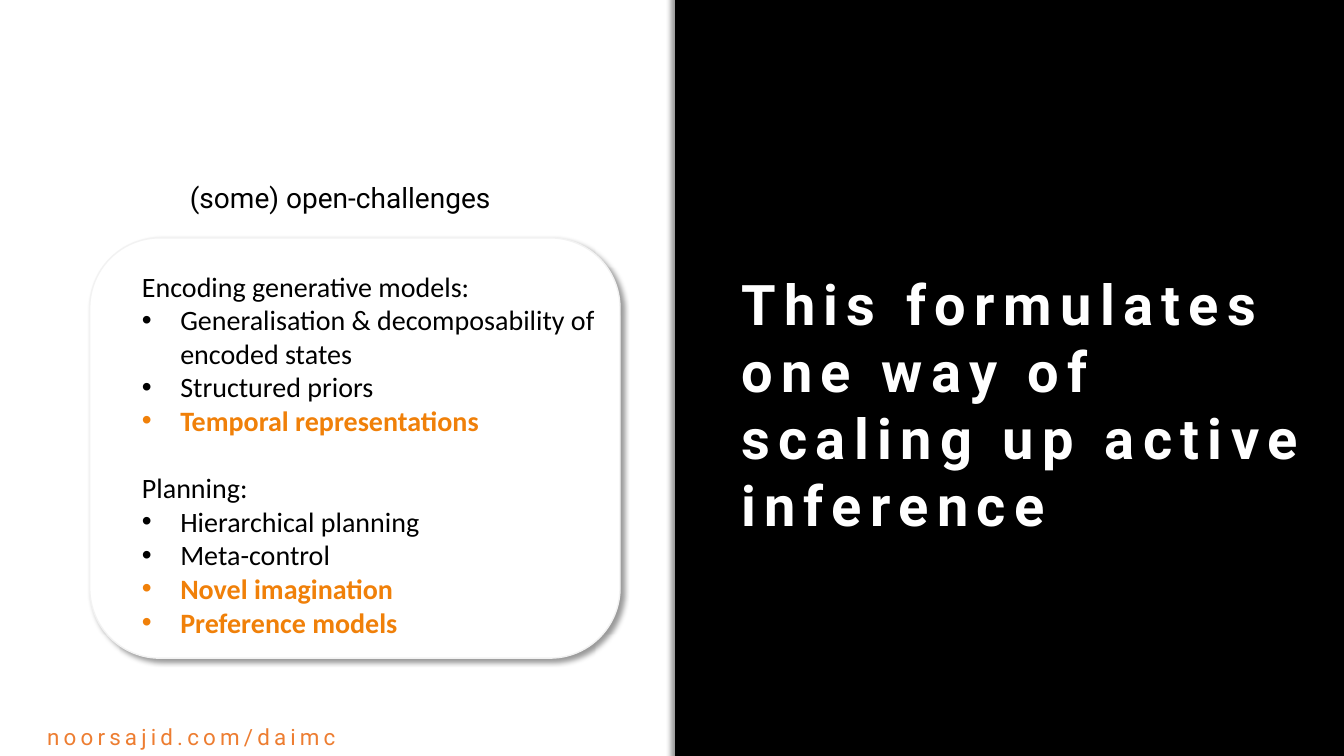
from pptx import Presentation
from pptx.dml.color import RGBColor
from pptx.enum.shapes import MSO_SHAPE as Shape
from pptx.enum.text import MSO_ANCHOR as Anchor, MSO_AUTO_SIZE as AutoSize, PP_ALIGN as Align
from pptx.oxml.ns import qn
from pptx.util import Inches, Pt
from lxml import etree

COLORS = {"black": "000000", "white": "FFFFFF", "border": "F2F2F2",
          "link": "ED7D31", "highlight": "F08009"}
INDENT = Inches(0.38)


def write(frame, text, first=False, size=20, font="Roboto", color="black", bold=False,
          spacing=0, align=Align.LEFT, bullet=False, before=0):
    """Put text in a new paragraph, or in the frame's first one; spacing is in points."""
    para = frame.paragraphs[0] if first else frame.add_paragraph()
    para.alignment = align
    para.space_before = Pt(before)
    if bullet:
        properties = para._p.get_or_add_pPr()
        properties.set("marL", str(INDENT))
        properties.set("indent", str(-INDENT))
        etree.SubElement(properties, qn("a:buFont")).set("typeface", "Arial")
        etree.SubElement(properties, qn("a:buChar")).set("char", "•")
    span = para.add_run()
    span.text = text
    span.font.size = Pt(size)
    span.font.name = font
    span.font.bold = bold
    span.font.color.rgb = RGBColor.from_string(COLORS[color])
    if spacing:
        span._r.get_or_add_rPr().set("spc", str(spacing * 100))


def add_panel(kind, left, top, width, height, fill, line, angle):
    """Add a filled shape whose soft shadow falls at the given angle in degrees."""
    panel = page.shapes.add_shape(kind, Inches(left), Inches(top), Inches(width), Inches(height))
    panel.fill.solid()
    panel.fill.fore_color.rgb = RGBColor.from_string(COLORS[fill])
    panel.line.color.rgb = RGBColor.from_string(COLORS[line])
    panel.line.width = Pt(1)
    panel.shadow.inherit = False
    effects = panel._element.spPr.find(qn("a:effectLst"))
    shadow = etree.SubElement(effects, qn("a:outerShdw"), blurRad=str(Pt(4)), dist=str(Pt(3)),
                              dir=str(angle * 60000), rotWithShape="0")
    shade = etree.SubElement(shadow, qn("a:srgbClr"), val=COLORS["black"])
    etree.SubElement(shade, qn("a:alpha"), val="40000")
    return panel


deck = Presentation()
deck.slide_width, deck.slide_height = Inches(13.33), Inches(7.5)
page = deck.slides.add_slide(deck.slide_layouts[5])

# Black half with the statement as the title
black_half = add_panel(Shape.RECTANGLE, 6.7, -0.08, 6.67, 7.66, "black", "black", 180)
title = page.shapes.title
title._element.addprevious(black_half._element)
title.left, title.top, title.width, title.height = map(Inches, (7.25, 2.62, 5.98, 2.79))
title.text_frame.word_wrap = True
title.text_frame.auto_size = AutoSize.NONE
title.text_frame.vertical_anchor = Anchor.TOP
write(title.text_frame, "This formulates one way of scaling up active inference",
      first=True, size=40, color="white", bold=True, spacing=6)

# Card and text on the white half
add_panel(Shape.ROUNDED_RECTANGLE, 0.89, 2.36, 5.26, 4.17, "white", "border", 45)

frames = {}
for name, place in {"link": (0.37, 7.13, 3.38, 0.37),
                    "heading": (1.53, 1.74, 3.69, 0.44),
                    "challenges": (1.31, 2.62, 4.7, 4.14)}.items():
    frames[name] = page.shapes.add_textbox(*map(Inches, place)).text_frame
    frames[name].word_wrap = True

write(frames["link"], "noorsajid.com/daimc", first=True, size=16, color="link", spacing=3)
write(frames["heading"], "(some) open-challenges", first=True, align=Align.CENTER)

# Each topic lists its challenges and whether they are highlighted
topics = {
    "Encoding generative models:": [
        ("Generalisation & decomposability of encoded states", False),
        ("Structured priors", False),
        ("Temporal representations", True)],
    "Planning:": [
        ("Hierarchical planning", False),
        ("Meta-control", False),
        ("Novel imagination", True),
        ("Preference models", True)],
}
for index, (topic, challenges) in enumerate(topics.items()):
    write(frames["challenges"], topic, first=index == 0, font="Calibri", before=24 * index)
    for challenge, highlighted in challenges:
        write(frames["challenges"], challenge, font="Calibri", bullet=True, bold=highlighted,
              color="highlight" if highlighted else "black")

deck.save("out.pptx")
